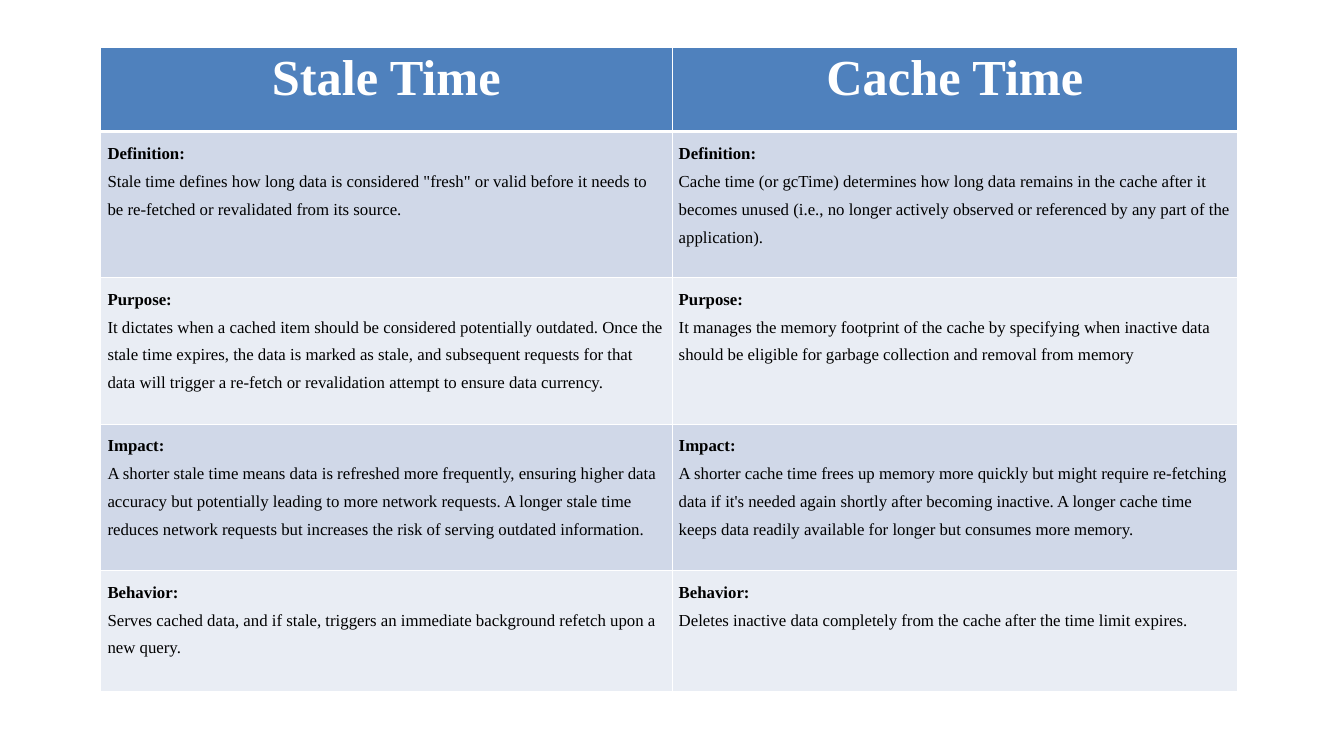
import dataclasses

import pptx
import pptx.dml.color
import pptx.enum.text
import pptx.oxml
import pptx.oxml.ns
import pptx.table
import pptx.util

Inches = pptx.util.Inches
FONT = "Times New Roman"
WHITE, BLACK = "FFFFFF", "000000"
HEADER_FILL = "4F81BD"
BAND_FILLS = ("D0D8E8", "E9EDF4")
COLUMN_WIDTHS = (8.5, 8.42)
ROW_HEIGHTS = (1.25, 2.17, 2.18, 2.18, 1.8)
HEADINGS = ("Stale Time", "Cache Time")


@dataclasses.dataclass
class Aspect:
    label: str
    stale: str
    cache: str


ASPECTS = (
    Aspect(
        "Definition:",
        'Stale time defines how long data is considered "fresh" or valid before it needs '
        "to be re-fetched or revalidated from its source.",
        "Cache time (or gcTime) determines how long data remains in the cache after it "
        "becomes unused (i.e., no longer actively observed or referenced by any part of "
        "the application).",
    ),
    Aspect(
        "Purpose:",
        "It dictates when a cached item should be considered potentially outdated. Once "
        "the stale time expires, the data is marked as stale, and subsequent requests for "
        "that data will trigger a re-fetch or revalidation attempt to ensure data currency.",
        "It manages the memory footprint of the cache by specifying when inactive data "
        "should be eligible for garbage collection and removal from memory",
    ),
    Aspect(
        "Impact:",
        "A shorter stale time means data is refreshed more frequently, ensuring higher "
        "data accuracy but potentially leading to more network requests. A longer stale "
        "time reduces network requests but increases the risk of serving outdated "
        "information.",
        "A shorter cache time frees up memory more quickly but might require re-fetching "
        "data if it's needed again shortly after becoming inactive. A longer cache time "
        "keeps data readily available for longer but consumes more memory.",
    ),
    Aspect(
        "Behavior:",
        "Serves cached data, and if stale, triggers an immediate background refetch upon "
        "a new query.",
        "Deletes inactive data completely from the cache after the time limit expires.",
    ),
)


def color(value: str) -> pptx.dml.color.RGBColor:
    return pptx.dml.color.RGBColor.from_string(value)


def style_cell(cell: pptx.table._Cell, fill: str, top: float = 1, bottom: float = 1) -> None:
    """Fill a cell and give it white borders, with widths in points."""
    properties = cell._tc.get_or_add_tcPr()
    for side, width in (("L", 1), ("R", 1), ("T", top), ("B", bottom)):
        properties.append(pptx.oxml.parse_xml(
            f'<a:ln{side} {pptx.oxml.ns.nsdecls("a")} w="{pptx.util.Pt(width)}">'
            f'<a:solidFill><a:srgbClr val="{WHITE}"/></a:solidFill></a:ln{side}>'
        ))
    cell.fill.solid()
    cell.fill.fore_color.rgb = color(fill)


def write_paragraph(paragraph, text: str, size: float, text_color: str, bold: bool) -> None:
    paragraph.text = text
    font = paragraph.font
    font.name, font.size, font.bold = FONT, pptx.util.Pt(size), bold
    font.color.rgb = color(text_color)


def fill_header(cell: pptx.table._Cell, heading: str) -> None:
    style_cell(cell, HEADER_FILL, bottom=3)
    paragraph = cell.text_frame.paragraphs[0]
    write_paragraph(paragraph, heading, 54, WHITE, True)
    paragraph.alignment = pptx.enum.text.PP_ALIGN.CENTER


def fill_body(cell: pptx.table._Cell, label: str, text: str, fill: str, top: float) -> None:
    style_cell(cell, fill, top=top)
    frame = cell.text_frame
    write_paragraph(frame.paragraphs[0], label, 18, BLACK, True)
    write_paragraph(frame.add_paragraph(), text, 18, BLACK, False)
    for paragraph in frame.paragraphs:
        paragraph.line_spacing = 1.5


def main() -> None:
    presentation = pptx.Presentation()
    presentation.slide_width, presentation.slide_height = Inches(20), Inches(11.25)
    slide = presentation.slides.add_slide(presentation.slide_layouts[6])

    # Table grid
    table = slide.shapes.add_table(
        len(ROW_HEIGHTS), len(COLUMN_WIDTHS), Inches(1.5), Inches(0.71),
        Inches(sum(COLUMN_WIDTHS)), Inches(sum(ROW_HEIGHTS)),
    ).table
    for column, width in zip(table.columns, COLUMN_WIDTHS):
        column.width = Inches(width)
    for row, height in zip(table.rows, ROW_HEIGHTS):
        row.height = Inches(height)

    # Header row
    for column_index, heading in enumerate(HEADINGS):
        fill_header(table.cell(0, column_index), heading)

    # Banded comparison rows
    for index, aspect in enumerate(ASPECTS):
        for column_index, text in enumerate((aspect.stale, aspect.cache)):
            fill_body(table.cell(index + 1, column_index), aspect.label, text,
                      BAND_FILLS[index % 2], top=3 if index == 0 else 1)

    presentation.save("out.pptx")


if __name__ == "__main__":
    main()
